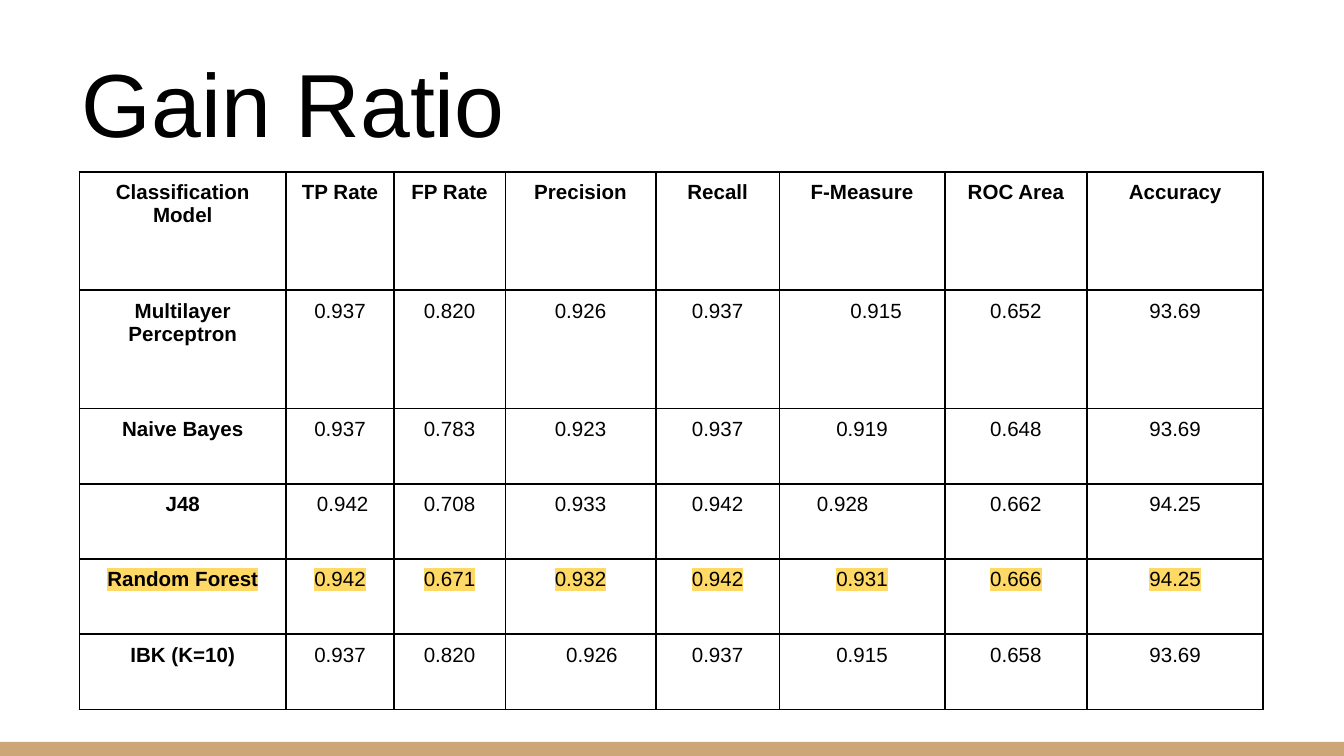
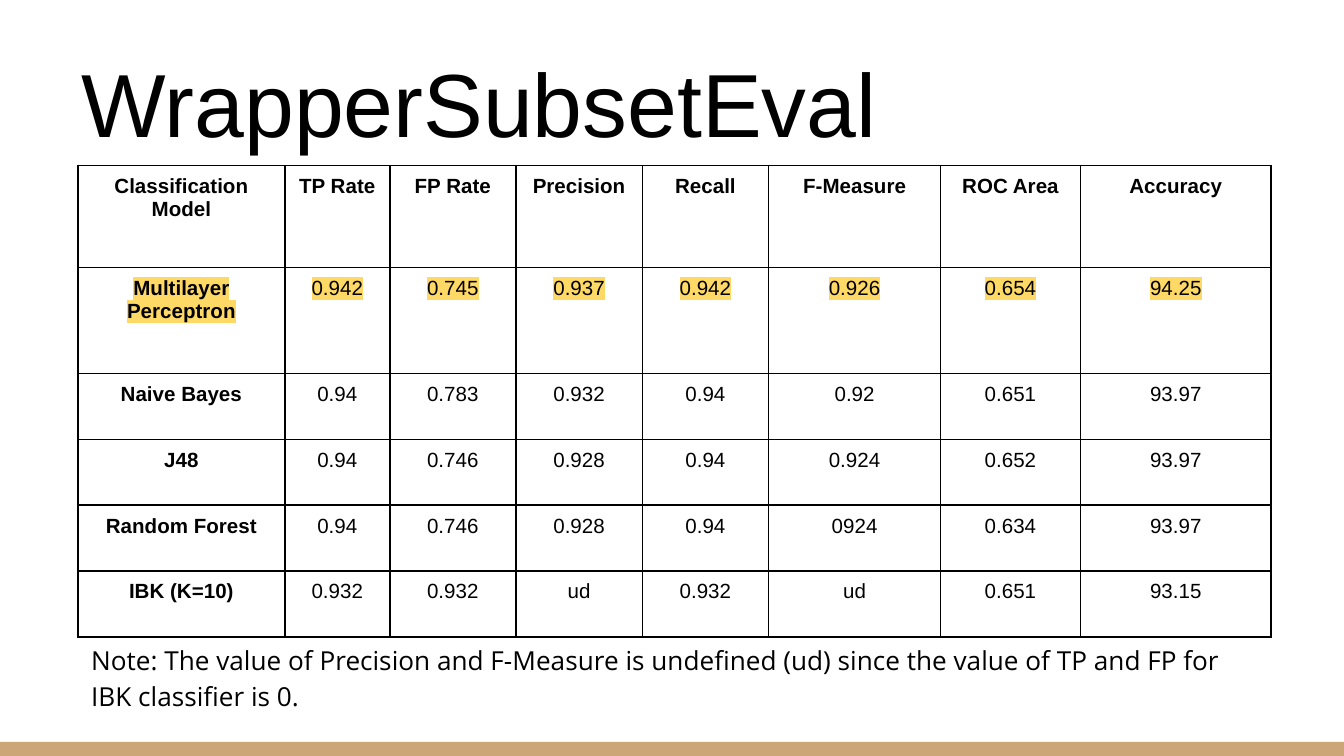
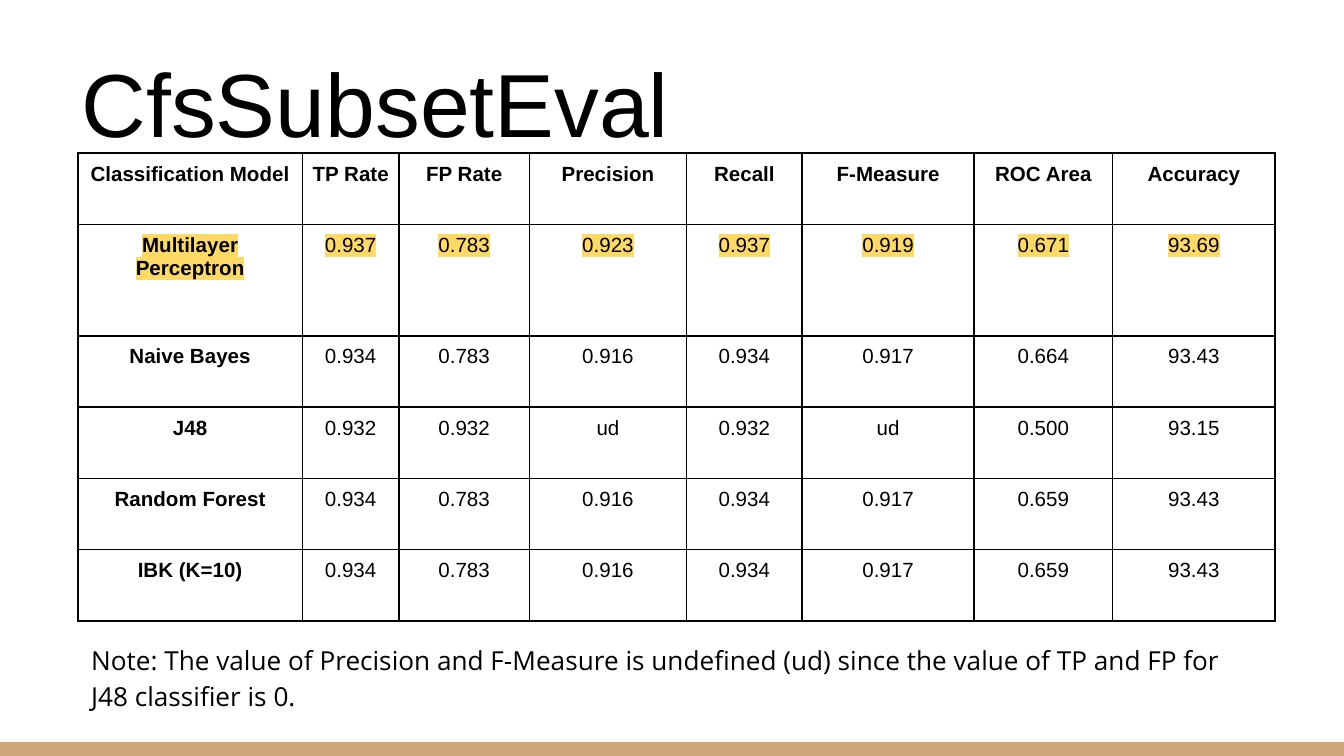
from lxml.etree import SubElement
from pptx import Presentation
from pptx.dml.color import RGBColor
from pptx.enum.shapes import MSO_SHAPE as Shape
from pptx.enum.text import MSO_ANCHOR as Anchor, PP_ALIGN as Align
from pptx.oxml import parse_xml
from pptx.oxml.ns import nsdecls, qn
from pptx.util import Inches, Pt

BLACK, TAN, YELLOW = "000000", "CCA677", "FFD966"
TITLE = {"name": "Arial", "size": Pt(48)}
NOTE = {"name": "Open Sans", "size": Pt(14)}
LABEL = {"name": "Arial", "size": Pt(11), "bold": True}
VALUE = {"name": "Arial", "size": Pt(11), "bold": False}
CELL = {f"margin_{side}": Inches(0.07) for side in ("left", "top", "right", "bottom")}
CELL["vertical_anchor"] = Anchor.TOP
FRAME = {f"margin_{side}": Inches(0.1) for side in ("left", "top", "right", "bottom")}
FRAME.update(word_wrap=True, vertical_anchor=Anchor.MIDDLE)

MEASURES = ["Classification Model", "TP Rate", "FP Rate", "Precision",
            "Recall", "F-Measure", "ROC Area", "Accuracy"]
MODELS = ["Multilayer Perceptron", "Naive Bayes", "J48", "Random Forest", "IBK (K=10)"]
NOTE_TEXT = ("Note: The value of Precision and F-Measure is undefined (ud) "
             "since the value of TP and FP for {} classifier is 0.")

EVALUATIONS = [
    {
        "title": "Gain Ratio",
        "corner": (0.59, 1.28),
        "widths": [1.54, 0.8, 0.83, 1.12, 0.92, 1.23, 1.06, 1.31],
        "heights": [0.88, 0.88, 0.56, 0.56, 0.56, 0.56],
        "best": "Random Forest",
        "undefined": None,
        "indents": {(1, 5): 0.21, (3, 1): 0.04, (3, 5): 0.21, (5, 3): 0.17},
        "left": [(3, 5)],
        "scores": ["0.937 0.820 0.926 0.937 0.915 0.652 93.69",
                   "0.937 0.783 0.923 0.937 0.919 0.648 93.69",
                   "0.942 0.708 0.933 0.942 0.928 0.662 94.25",
                   "0.942 0.671 0.932 0.942 0.931 0.666 94.25",
                   "0.937 0.820 0.926 0.937 0.915 0.658 93.69"],
    },
    {
        "title": "WrapperSubsetEval",
        "corner": (0.58, 1.23),
        "widths": [1.54, 0.78, 0.94, 0.94, 0.94, 1.28, 1.04, 1.42],
        "heights": [0.76, 0.79, 0.49, 0.49, 0.49, 0.49],
        "best": "Multilayer Perceptron",
        "undefined": "IBK",
        "indents": {},
        "left": [],
        "scores": ["0.942 0.745 0.937 0.942 0.926 0.654 94.25",
                   "0.94 0.783 0.932 0.94 0.92 0.651 93.97",
                   "0.94 0.746 0.928 0.94 0.924 0.652 93.97",
                   "0.94 0.746 0.928 0.94 0924 0.634 93.97",
                   "0.932 0.932 ud 0.932 ud 0.651 93.15"],
    },
    {
        "title": "CfsSubsetEval",
        "corner": (0.58, 1.14),
        "widths": [1.67, 0.72, 0.97, 1.17, 0.86, 1.28, 1.03, 1.21],
        "heights": [0.53, 0.83, 0.53, 0.53, 0.53, 0.53],
        "best": "Multilayer Perceptron",
        "undefined": "J48",
        "indents": {},
        "left": [],
        "scores": ["0.937 0.783 0.923 0.937 0.919 0.671 93.69",
                   "0.934 0.783 0.916 0.934 0.917 0.664 93.43",
                   "0.932 0.932 ud 0.932 ud 0.500 93.15",
                   "0.934 0.783 0.916 0.934 0.917 0.659 93.43",
                   "0.934 0.783 0.916 0.934 0.917 0.659 93.43"],
    },
]


def color(hex_text):
    return RGBColor.from_string(hex_text)


def write(frame, text, font_format, frame_format):
    for attribute, value in frame_format.items():
        setattr(frame, attribute, value)
    line = frame.paragraphs[0]
    words = line.add_run()
    words.text = text
    for attribute, value in font_format.items():
        setattr(words.font, attribute, value)
    words.font.color.rgb = color(BLACK)
    return line


deck = Presentation()
deck.slide_width = Inches(10)
deck.slide_height = Inches(10) * 9 // 16

for evaluation in EVALUATIONS:
    slide = deck.slides.add_slide(deck.slide_layouts[6])
    slide.background.fill.solid()
    slide.background.fill.fore_color.rgb = color("FFFFFF")

    band = slide.shapes.add_shape(Shape.RECTANGLE, 0, Inches(5.52), Inches(10), Inches(0.11))
    band.shadow.inherit = False
    band.fill.solid()
    band.fill.fore_color.rgb = color(TAN)
    band.line.fill.background()

    title = slide.shapes.add_textbox(Inches(0.51), Inches(0.49), Inches(6.96), Inches(0.53))
    write(title.text_frame, evaluation["title"], TITLE, FRAME)

    left, top = evaluation["corner"]
    widths, heights = evaluation["widths"], evaluation["heights"]
    results = slide.shapes.add_table(len(heights), len(widths), Inches(left), Inches(top),
                                     Inches(sum(widths)), Inches(sum(heights))).table
    results.first_row = results.horz_banding = False
    for column, width in zip(results.columns, widths):
        column.width = Inches(width)
    for row, height in zip(results.rows, heights):
        row.height = Inches(height)

    lines = [MEASURES] + [[model] + scores.split()
                          for model, scores in zip(MODELS, evaluation["scores"])]
    for r, entries in enumerate(lines):
        for c, entry in enumerate(entries):
            cell = results.cell(r, c)
            for attribute, value in CELL.items():
                setattr(cell, attribute, value)
            cell.fill.background()
            line = write(cell.text_frame, entry, VALUE if r and c else LABEL, {})
            line.alignment = Align.LEFT if (r, c) in evaluation["left"] else Align.CENTER
            if (r, c) in evaluation["indents"]:
                line._p.get_or_add_pPr().set("marL", str(Inches(evaluation["indents"][r, c])))
            if entries[0] == evaluation["best"]:
                run_format = line.runs[0]._r.get_or_add_rPr()
                highlight = SubElement(run_format, qn("a:highlight"))
                SubElement(highlight, qn("a:srgbClr"), val=YELLOW)
                run_format.find(qn("a:solidFill")).addnext(highlight)
            for position, side in enumerate("LRTB"):
                cell._tc.get_or_add_tcPr().insert(position, parse_xml(
                    f'<a:ln{side} {nsdecls("a")} w="{Pt(1)}"><a:solidFill>'
                    f'<a:srgbClr val="{BLACK}"/></a:solidFill></a:ln{side}>'))

    if evaluation["undefined"]:
        note = slide.shapes.add_textbox(Inches(0.58), Inches(4.72), Inches(8.89), Inches(0.61))
        line = write(note.text_frame, NOTE_TEXT.format(evaluation["undefined"]), NOTE, FRAME)
        line.line_spacing = 1.15

deck.save("out.pptx")
